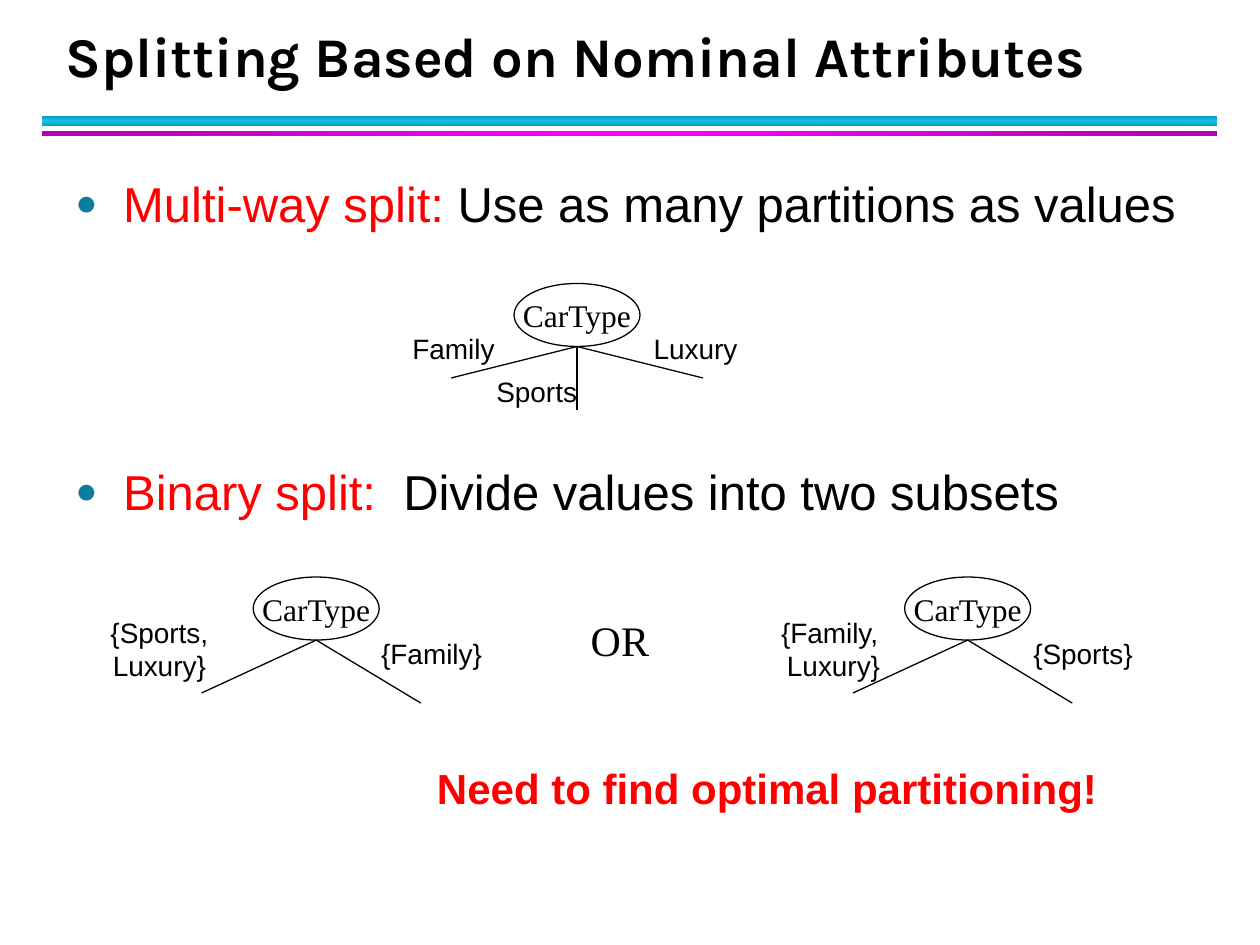
from copy import deepcopy
from dataclasses import dataclass

from lxml.etree import SubElement
from pptx import Presentation
from pptx.dml.color import RGBColor
from pptx.enum.shapes import MSO_CONNECTOR, MSO_SHAPE
from pptx.enum.text import MSO_ANCHOR, PP_ALIGN
from pptx.oxml.ns import qn
from pptx.util import Inches, Pt


@dataclass(frozen=True)
class Theme:
    black: RGBColor = RGBColor.from_string("000000")
    white: RGBColor = RGBColor.from_string("FFFFFF")
    red: RGBColor = RGBColor.from_string("FF0000")
    bullet: str = "0C7B9C"
    cyan: tuple = ("0E9BBA", "12C2E9")
    pink: tuple = ("B200B2", "FF00FF")
    head: str = "Karla"
    sans: str = "Arial"
    serif: str = "Times New Roman"
    title: int = 32
    body: int = 28
    note: int = 24
    node: int = 18
    label: int = 16
    line: float = 0.75


T = Theme()
TWO = [(-0.91, 0.42), (0.83, 0.5)]
THREE = [(-1, 0.25), (0, 0.5), (1, 0.25)]


def style(font, face, size, color=T.black, bold=False):
    font.name, font.size, font.bold = face, Pt(size), bold
    font.color.rgb = color


def add_text(shapes, text, box, face, size, color=T.black, bold=False,
             align=PP_ALIGN.CENTER, anchor=MSO_ANCHOR.MIDDLE, wrap=False):
    frame = shapes.add_textbox(*map(Inches, box)).text_frame
    frame.word_wrap = wrap
    frame.vertical_anchor = anchor
    para = frame.paragraphs[0]
    para.text = text
    para.alignment = align
    style(para.font, face, size, color, bold)
    return para


def add_bar(slide, top, height, colors, angle):
    """Draw a rule that is dark at both edges and bright in the middle."""
    bar = slide.shapes.add_shape(
        MSO_SHAPE.RECTANGLE, Inches(0.33), Inches(top), Inches(9.33), Inches(height))
    bar.shadow.inherit = False
    bar.line.fill.background()
    bar.fill.gradient()
    bar.fill.gradient_angle = angle
    stops = bar._element.spPr.find(qn("a:gradFill")).find(qn("a:gsLst"))
    stops.append(deepcopy(stops[0]))
    edge, mid = colors
    for stop, place, color in zip(bar.fill.gradient_stops, (0, 0.5, 1), (edge, mid, edge)):
        stop.position = place
        stop.color.rgb = RGBColor.from_string(color)


def add_dot(para):
    props = para._p.get_or_add_pPr()
    props.set("marL", str(Inches(0.38)))
    props.set("indent", str(-Inches(0.38)))
    SubElement(SubElement(props, qn("a:buClr")), qn("a:srgbClr"), val=T.bullet)
    SubElement(props, qn("a:buSzPct"), val="75000")
    SubElement(props, qn("a:buFont"), typeface=T.sans)
    SubElement(props, qn("a:buChar"), char="●")


def add_list(slide, items, gap):
    box = slide.shapes.add_textbox(Inches(0.5), Inches(1.33), Inches(9.17), Inches(4.08))
    frame = box.text_frame
    frame.word_wrap = True
    for i, (term, rest) in enumerate(items):
        para = frame.add_paragraph() if i else frame.paragraphs[0]
        if i:
            para.space_before = Pt(gap)
        add_dot(para)
        for text, color in ((term, T.red), (rest, T.black)):
            run = para.add_run()
            run.text = text
            style(run.font, T.sans, T.body, color)


def add_line(shapes, start, end):
    line = shapes.add_connector(MSO_CONNECTOR.STRAIGHT, *map(Inches, start + end))
    line.line.color.rgb = T.black
    line.line.width = Pt(T.line)
    SubElement(line._element.spPr, qn("a:effectLst"))


def add_tree(slide, left, top, ends, labels):
    """Draw a node; ends are measured from its foot, labels from its corner."""
    shapes = slide.shapes.add_group_shape().shapes
    node = shapes.add_shape(
        MSO_SHAPE.OVAL, Inches(left), Inches(top), Inches(1), Inches(0.5))
    node.shadow.inherit = False
    node.fill.solid()
    node.fill.fore_color.rgb = T.white
    node.line.color.rgb = T.black
    node.line.width = Pt(T.line)
    frame = node.text_frame
    frame.word_wrap = False
    frame.vertical_anchor = MSO_ANCHOR.MIDDLE
    para = frame.paragraphs[0]
    para.text = "CarType"
    para.alignment = PP_ALIGN.CENTER
    style(para.font, T.serif, T.node)

    # Branches and their labels
    foot = (left + 0.5, top + 0.5)
    for dx, dy in ends:
        add_line(shapes, foot, (foot[0] + dx, foot[1] + dy))
    for text, dx, dy, width, height in labels:
        add_text(shapes, text, (left + dx, top + dy, width, height),
                 T.sans, T.label, wrap=" " in text)


def main():
    deck = Presentation()
    deck.slide_width, deck.slide_height = Inches(10), Inches(7.5)
    slide = deck.slides.add_slide(deck.slide_layouts[6])

    # Heading and rules
    add_bar(slide, 0.92, 0.08, T.cyan, 90)
    add_bar(slide, 1.04, 0.04, T.pink, 0)
    title = add_text(slide.shapes, "Splitting Based on Nominal Attributes",
                     (0.42, 0.17, 9.42, 0.58), T.head, T.title, bold=True,
                     align=PP_ALIGN.LEFT, anchor=MSO_ANCHOR.BOTTOM, wrap=True)
    title.line_spacing = Pt(36)

    # Kinds of split
    add_list(slide, [("Multi-way split:", " Use as many partitions as values"),
                     ("Binary split:", "  Divide values into two subsets")], 131)

    # Trees
    add_tree(slide, 4.08, 2.25, THREE, [
        ("Family", -0.93, 0.33, 0.9, 0.37),
        ("Sports", -0.27, 0.67, 0.9, 0.37),
        ("Luxury", 0.99, 0.33, 0.9, 0.37)])
    add_tree(slide, 7.18, 4.58, TWO, [
        ("{Family, \vLuxury}", -1.09, 0.25, 1.05, 0.64),
        ("{Sports}", 0.89, 0.42, 1.05, 0.37)])
    add_tree(slide, 2.01, 4.58, TWO, [
        ("{Sports, Luxury}", -1.26, 0.25, 1.03, 0.64),
        ("{Family}", 0.89, 0.42, 1.05, 0.37)])

    # Remarks
    add_text(slide.shapes, "OR", (4.57, 4.83, 0.7, 0.5), T.serif, T.note)
    add_text(slide.shapes, "Need to find optimal partitioning!", (3.37, 6, 5.44, 0.5),
             T.sans, T.note, T.red, True, PP_ALIGN.LEFT, MSO_ANCHOR.TOP)

    deck.save("out.pptx")


if __name__ == "__main__":
    main()
